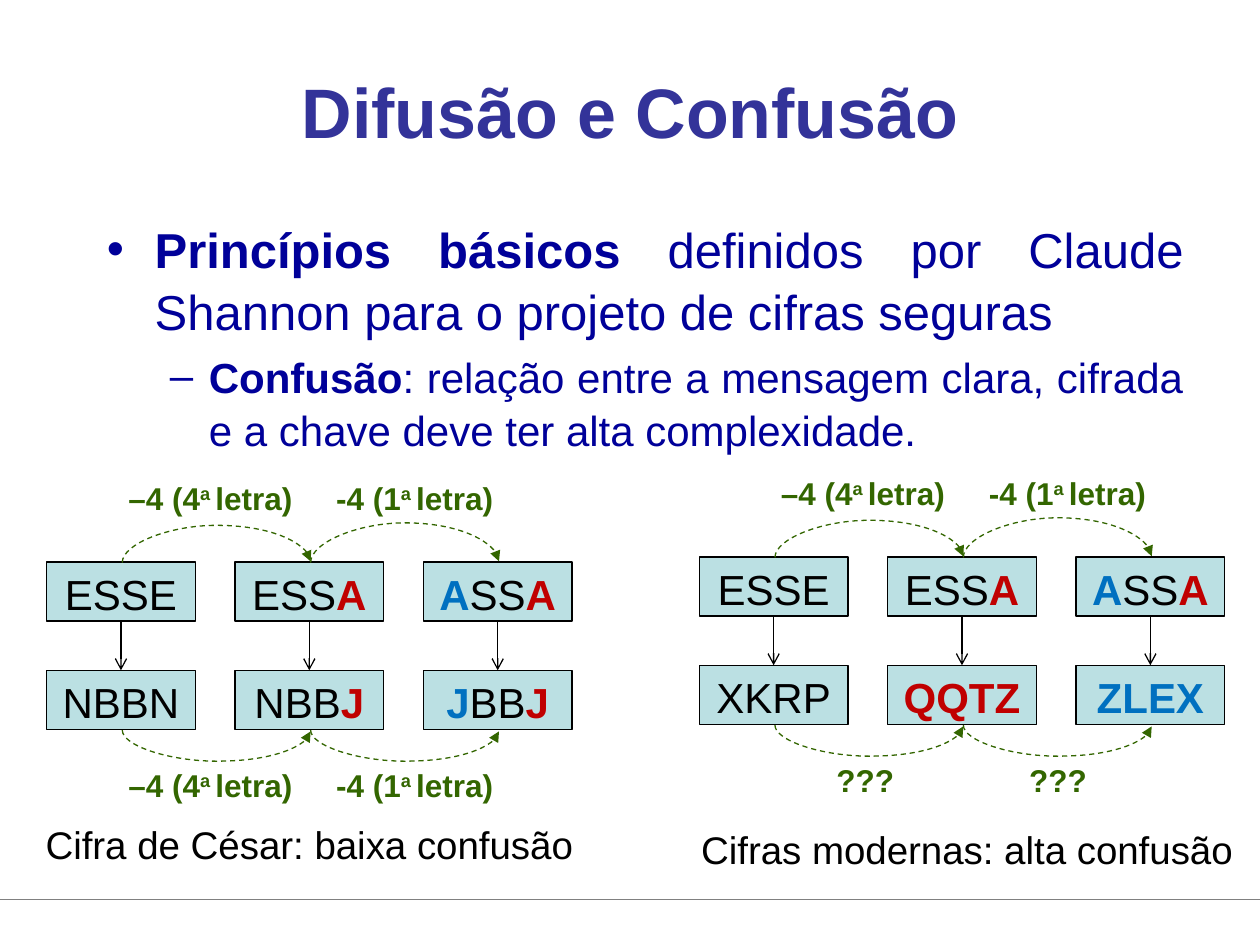
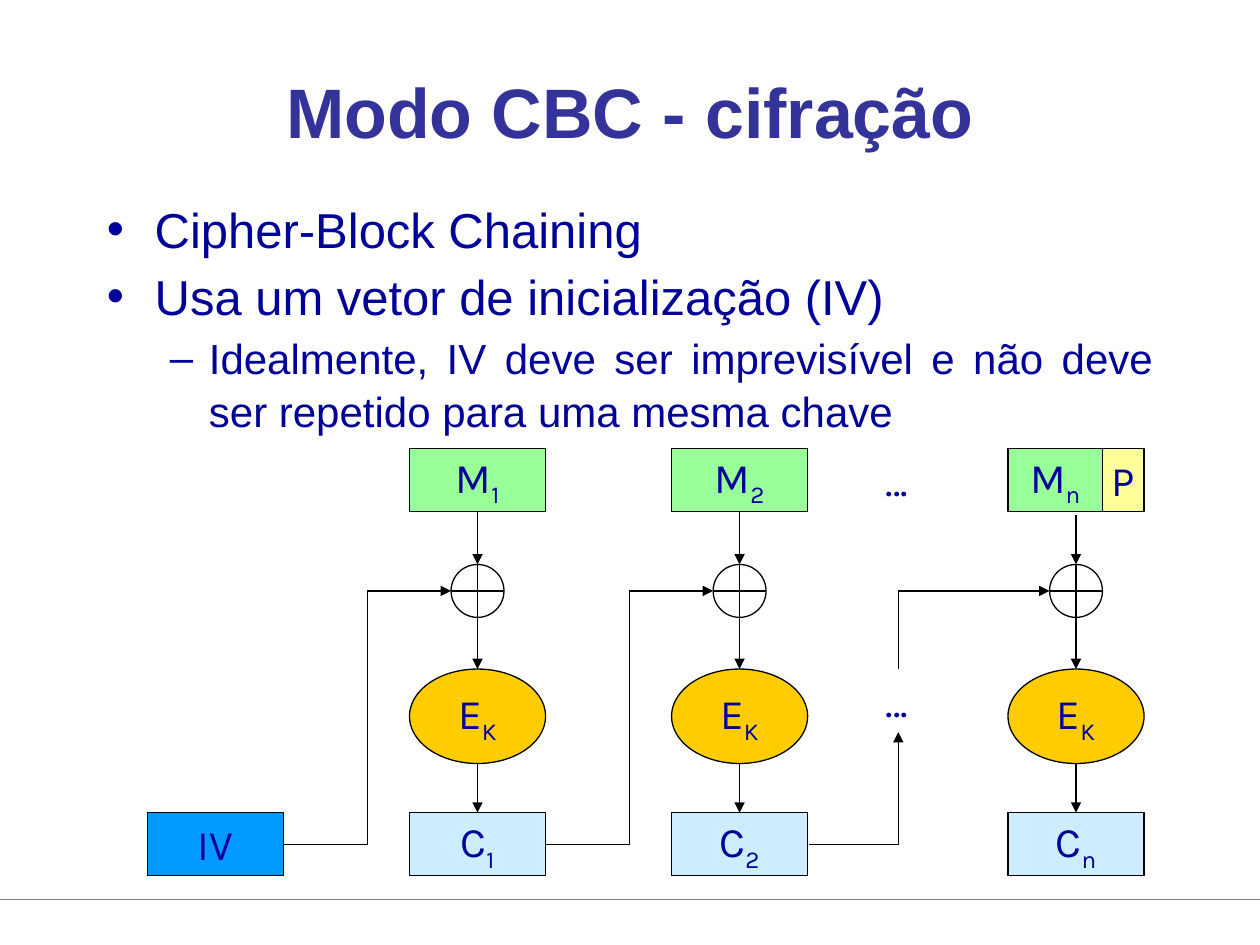
from lxml.etree import SubElement
from pptx import Presentation
from pptx.dml.color import RGBColor
from pptx.enum.dml import MSO_LINE
from pptx.enum.shapes import MSO_CONNECTOR, MSO_SHAPE
from pptx.enum.text import MSO_ANCHOR, PP_ALIGN
from pptx.oxml.ns import qn
from pptx.util import Inches, Pt

COLOURS = {
    "title": "333399", "body": "000099", "black": "000000", "rule": "808080",
    "word": "BBE0E3", "red": "C00000", "blue": "0070C0", "green": "336600",
    "message": "99FF99", "padding": "FFFF99", "cipher": "FFCC00",
    "output": "CCECFF", "vector": "0099FF",
}


def colour(name):
    """Return the named colour."""
    return RGBColor.from_string(COLOURS[name])


def add_span(para, text, size=24, ink="black", bold=False, font="Arial", base=0):
    """Add formatted text to a paragraph; base raises or lowers it in percent."""
    span = para.add_run()
    span.text = text
    span.font.size = Pt(size)
    span.font.name = font
    span.font.bold = bold
    span.font.color.rgb = colour(ink)
    if base:
        span.font._element.set("baseline", str(base * 1000))


class Sketch:
    """Holds the deck style and the slide being drawn."""

    def __init__(self):
        """Open a deck of 10 by 7.5 inches."""
        self.deck = Presentation()
        self.deck.slide_width, self.deck.slide_height = Inches(10), Inches(7.5)

    def start(self, title):
        """Add a slide with its title and bottom rule."""
        self.page = self.deck.slides.add_slide(self.deck.slide_layouts[6])
        self.line((0, 7.14), (10, 7.14), ink="rule", head=None)
        self.text(0.75, 0.25, 8.5, 1.25, [(title, {"size": 40, "ink": "title", "bold": True})],
                  align=PP_ALIGN.CENTER, anchor=MSO_ANCHOR.MIDDLE)

    def fill_text(self, shape, spans, align, anchor, wrap):
        """Write one paragraph of spans into a shape."""
        frame = shape.text_frame
        frame.word_wrap = wrap
        frame.vertical_anchor = anchor
        para = frame.paragraphs[0]
        para.alignment = align
        for text, style in spans:
            add_span(para, text, **style)

    def text(self, left, top, width, height, spans, align=PP_ALIGN.LEFT,
             anchor=MSO_ANCHOR.TOP, wrap=True):
        """Add a text box."""
        box = self.page.shapes.add_textbox(*map(Inches, (left, top, width, height)))
        self.fill_text(box, spans, align, anchor, wrap)

    def bullets(self, left, top, width, height, items):
        """Add the justified bullet list from (level, space before, spans) items."""
        box = self.page.shapes.add_textbox(*map(Inches, (left, top, width, height)))
        frame = box.text_frame
        frame.word_wrap = True
        for index, (level, space, spans) in enumerate(items):
            para = frame.add_paragraph() if index else frame.paragraphs[0]
            para.level = level
            para.alignment = PP_ALIGN.JUSTIFY
            para.line_spacing = 1.05
            para.space_before = Pt(space)
            margin, hanging, mark = ((0.38, 0.38, "•"), (0.81, 0.31, "–"))[level]
            properties = para._p.get_or_add_pPr()
            properties.set("marL", str(Inches(margin)))
            properties.set("indent", str(-Inches(hanging)))
            SubElement(properties, qn("a:buFont"), typeface="Arial")
            SubElement(properties, qn("a:buChar"), char=mark)
            for text, bold in spans:
                add_span(para, text, size=(28, 24)[level], ink="body", bold=bold)

    def shape(self, kind, left, top, width, height, fill=None, spans=(),
              anchor=MSO_ANCHOR.MIDDLE, wrap=False):
        """Add an outlined preset shape with centred text."""
        box = self.page.shapes.add_shape(kind, *map(Inches, (left, top, width, height)))
        box.shadow.inherit = False
        box.line.color.rgb = colour("black")
        box.line.width = Pt(0.75)
        if fill:
            box.fill.solid()
            box.fill.fore_color.rgb = colour(fill)
        else:
            box.fill.background()
        self.fill_text(box, spans, PP_ALIGN.CENTER, anchor, wrap)
        return box

    def line(self, start, end, kind=MSO_CONNECTOR.STRAIGHT, ink="black", head="triangle",
             dashed=False, begin=None, finish=None):
        """Add a connector, joined to a box below begin or above finish."""
        link = self.page.shapes.add_connector(kind, *map(Inches, (*start, *end)))
        link.line.color.rgb = colour(ink)
        link.line.width = Pt(0.75)
        if dashed:
            link.line.dash_style = MSO_LINE.DASH
        if head:
            SubElement(link.line._get_or_add_ln(), qn("a:tailEnd"), type=head)
        SubElement(link._element.spPr, qn("a:effectLst"))
        if begin is not None:
            link.begin_connect(begin, 2)
        if finish is not None:
            link.end_connect(finish, 0)
        return link

    def turn(self, link, start, end, angle, flips=()):
        """Lay a connector along start to end with its frame turned a quarter."""
        width, height = abs(end[1] - start[1]), abs(end[0] - start[0])
        link.left = Inches((start[0] + end[0] - width) / 2)
        link.top = Inches((start[1] + end[1] - height) / 2)
        link.width, link.height = Inches(width), Inches(height)
        frame = link._element.spPr.find(qn("a:xfrm"))
        for flip in ("flipH", "flipV"):
            frame.attrib.pop(flip, None)
        frame.set("rot", str(angle * 60000))
        for flip in flips:
            frame.set(flip, "1")

    def arc(self, left, right, level, bulge, above):
        """Add a dashed curved arrow bulging above or below its level."""
        thin = 0.01
        drop = thin if above else -thin
        start, end = (left, level + drop / 2), (right, level - drop / 2)
        link = self.line(start, end, MSO_CONNECTOR.CURVE, "green", dashed=True)
        self.turn(link, start, end, 90 if above else 270,
                  ("flipH", "flipV") if above else ("flipH",))
        guides = link._element.spPr.find(qn("a:prstGeom")).get_or_add_avLst()
        SubElement(guides, qn("a:gd"), name="adj1", fmla=f"val {round(bulge / thin * 100000)}")

    def corner(self, start, end):
        """Add a one-corner arrow that runs across and then up."""
        link = self.line(start, end, MSO_CONNECTOR.ELBOW)
        link._element.spPr.find(qn("a:prstGeom")).set("prst", "bentConnector2")
        return link


def coloured(word, inks):
    """Split a word into spans by one colour letter per character group."""
    names = {"k": "black", "r": "red", "b": "blue"}
    spans, first = [], 0
    for last in range(1, len(word) + 1):
        if last == len(word) or inks[last] != inks[first]:
            spans.append((word[first:last], {"ink": names[inks[first]], "bold": inks[first] != "k"}))
            first = last
    return spans


def shift_label(number, letter):
    """Return the spans that describe a key shift at a letter."""
    style = {"size": 18, "ink": "green", "bold": True}
    return [(f"{number} ({letter}", style), ("a ", {**style, "base": 30}), ("letra)", style)]


def draw_words(sketch, left, top, pairs, lower_labels, caption):
    """Draw three plain words above their ciphered words, with shift arcs."""
    width, height, step, gap = 1.18, 0.47, 1.495, 0.86
    middles = [left + width / 2 + 0.01 + step * column for column in range(3)]
    for column, words in enumerate(pairs):
        upper, lower = (
            sketch.shape(MSO_SHAPE.RECTANGLE, left + step * column, top + gap * row, width, height,
                         "word", coloured(*word), MSO_ANCHOR.TOP, True)
            for row, word in enumerate(words))
        sketch.line((0, 0), (1, 1), head="arrow", begin=upper, finish=lower)
    for index, bulge in enumerate((0.3, 0.32)):
        ends = middles[index:index + 2]
        sketch.arc(*ends, top, bulge, True)
        sketch.arc(*ends, top + gap + height + 0.01, 0.25, False)
    upper_labels = [(0.55, 1.56, shift_label("–4", 4)), (2.2, 1.5, shift_label("-4", 1))]
    for level, labels in ((-0.71, upper_labels), (1.57, lower_labels or upper_labels)):
        for offset, label_width, spans in labels:
            sketch.text(left + offset, top + level, label_width, 0.4, spans, wrap=False)
    sketch.text(*caption[:2], 4.65, 0.47, [(caption[2], {"size": 22})], PP_ALIGN.CENTER)


def draw_confusion(sketch):
    """Draw the slide on diffusion and confusion."""
    sketch.start("Difusão e Confusão")
    sketch.bullets(0.75, 1.67, 8.74, 2, [
        (0, 0, [("Princípios básicos", True),
                (" definidos por Claude Shannon para o projeto de cifras seguras", False)]),
        (1, 5, [("Confusão", True),
                (": relação entre a mensagem clara, cifrada e a chave deve ter alta complexidade.",
                 False)])])
    plain = [("ESSE", "kkkk"), ("ESSA", "kkkr"), ("ASSA", "bkkr")]
    caesar = [("NBBN", "kkkk"), ("NBBJ", "kkkr"), ("JBBJ", "bkkr")]
    modern = [("XKRP", "kkkk"), ("QQTZ", "rrrr"), ("ZLEX", "bbbb")]
    unknown = [("???", {"size": 18, "ink": "green", "bold": True})]
    draw_words(sketch, 0.37, 4.46, zip(plain, caesar), None,
               (0.13, 6.47, "Cifra de César: baixa confusão"))
    draw_words(sketch, 5.55, 4.42, zip(plain, modern),
               [(0.99, 0.66, unknown), (2.52, 0.66, unknown)],
               (5.35, 6.51, "Cifras modernas: alta confusão"))


def symbol(letter, index=""):
    """Return the spans of a letter with its subscript."""
    style = {"ink": "body", "font": "Karla"}
    return [(letter, style)] + ([(index, {**style, "base": -25})] if index else [])


def draw_chaining(sketch):
    """Draw the slide on CBC encryption."""
    sketch.start("Modo CBC - cifração")
    sketch.bullets(0.75, 1.51, 8.5, 1.69, [
        (0, 0, [("Cipher-Block Chaining", False)]),
        (0, 3, [("Usa um vetor de inicialização (IV)", False)]),
        (1, 3, [("Idealmente, IV deve ser imprevisível e não deve ser repetido "
                 "para uma mesma chave", False)])])
    width, height, ring, mix = 1.08, 0.5, 0.42, 4.69
    bottom, turn_x = 6.7, 7.13
    for left, index in ((3.25, "1"), (5.33, "2"), (8, "n")):
        middle = left + width / 2
        padded = index == "n"
        message = sketch.shape(MSO_SHAPE.RECTANGLE, left, 3.56, 0.75 if padded else width, height,
                               "message", symbol("M", index))
        if padded:
            sketch.shape(MSO_SHAPE.RECTANGLE, left + 0.75, 3.56, 0.33, height, "padding", symbol("P"))
        sketch.shape(MSO_SHAPE.FLOWCHART_OR, middle - ring / 2, mix - ring / 2, ring, ring)
        sketch.shape(MSO_SHAPE.OVAL, left, 5.31, width, 0.75, "cipher", symbol("E", "K"))
        output = sketch.shape(MSO_SHAPE.RECTANGLE, left, 6.45, width, height,
                              "output", symbol("C", index))
        sketch.line((middle, 4.09), (middle, 4.48), begin=None if padded else message)
        sketch.line((middle, 4.9), (middle, 5.31))
        sketch.line((middle, 6.06), (middle, 6.45), finish=output)
    sketch.shape(MSO_SHAPE.RECTANGLE, 1.17, 6.45, width, height, "vector", symbol("IV"))
    for start in (2.25, 4.33):
        sketch.line((start, bottom), (start + 1.33, mix), MSO_CONNECTOR.ELBOW)
    sketch.corner((6.42, bottom), (turn_x, 5.81))
    start, end = (turn_x, 5.31), (8.33, mix)
    sketch.turn(sketch.corner(start, end), start, end, 270)
    for top in (3.56, 5.31):
        sketch.text(6.81, top, 0.62, height, symbol("..."), PP_ALIGN.CENTER)


def main():
    """Build and save the deck."""
    sketch = Sketch()
    draw_confusion(sketch)
    draw_chaining(sketch)
    sketch.deck.save("out.pptx")


if __name__ == "__main__":
    main()
